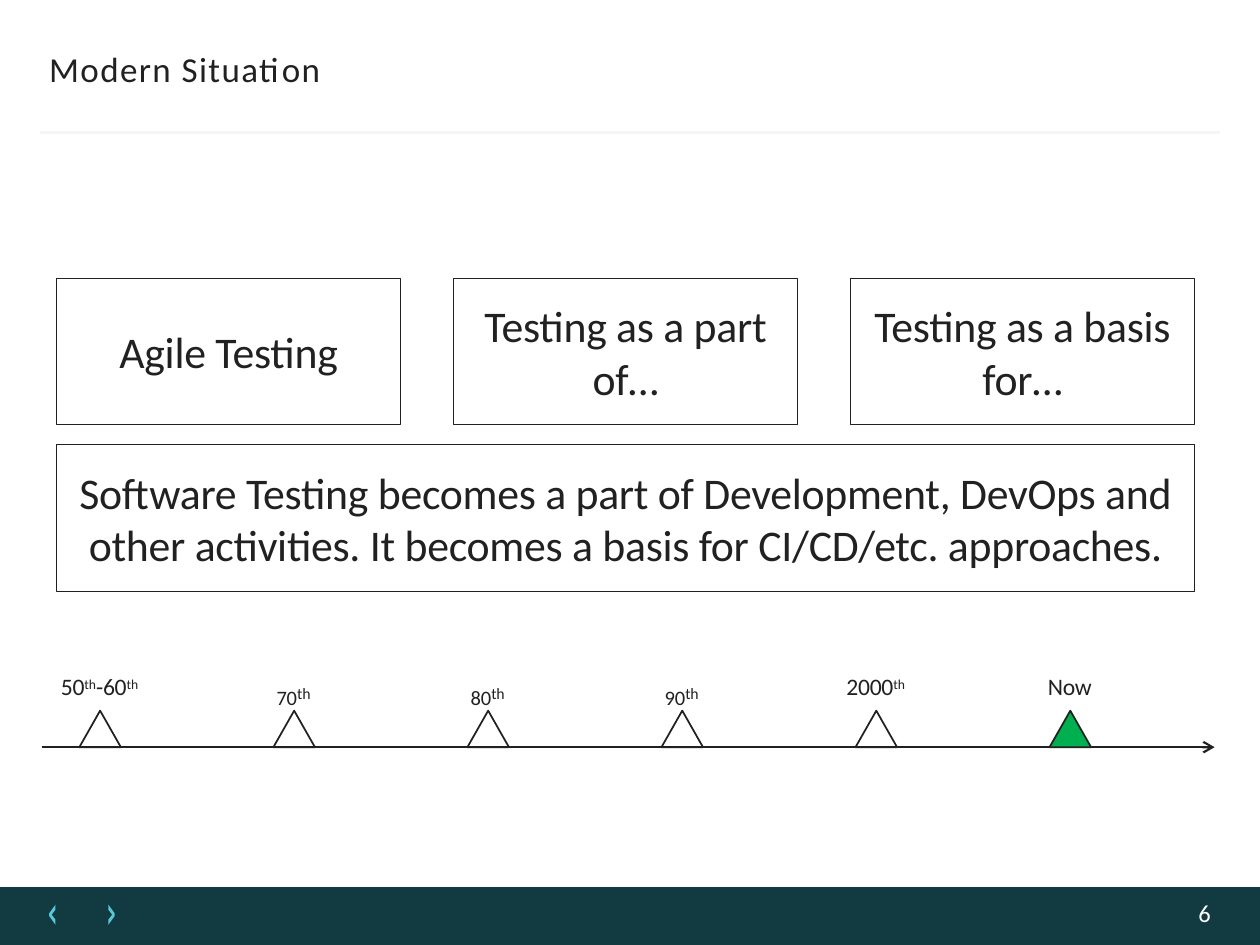
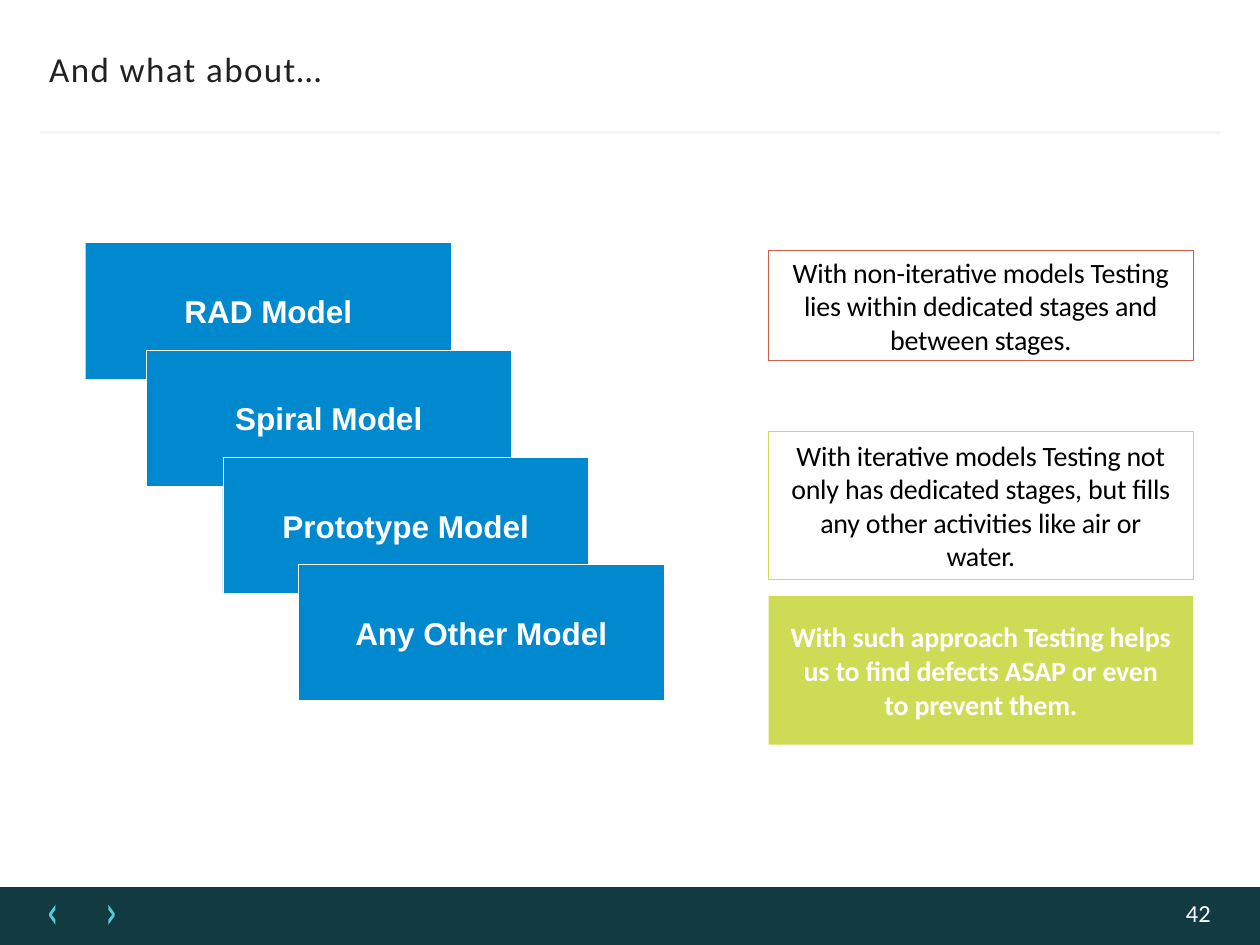
from dataclasses import dataclass

from lxml import etree
from pptx import Presentation
from pptx.dml.color import RGBColor
from pptx.enum.shapes import MSO_CONNECTOR, MSO_SHAPE
from pptx.enum.text import MSO_ANCHOR, MSO_AUTO_SIZE, PP_ALIGN
from pptx.oxml.ns import qn
from pptx.util import Inches, Pt

RECTANGLE = MSO_SHAPE.RECTANGLE
TRIANGLE = MSO_SHAPE.ISOSCELES_TRIANGLE
STRAIGHT = MSO_CONNECTOR.STRAIGHT
TOP, MIDDLE = MSO_ANCHOR.TOP, MSO_ANCHOR.MIDDLE
LEFT, CENTER, RIGHT = PP_ALIGN.LEFT, PP_ALIGN.CENTER, PP_ALIGN.RIGHT
NO_AUTOFIT = MSO_AUTO_SIZE.NONE
TITLE_ONLY = 5


@dataclass(frozen=True)
class Theme:
    ink: str = "212121"
    black: str = "000000"
    white: str = "FFFFFF"
    number: str = "FDFDFD"
    rule: str = "F5F5F5"
    band: str = "123B41"
    chevron: str = "58C7D6"
    green: str = "00AF50"
    blue: str = "0089CF"
    red: str = "D25D46"
    lime: str = "CEDB55"
    body_font: str = "Calibri"
    model_font: str = "Arial"
    title_size: float = 20
    statement_size: float = 25
    model_size: float = 18
    note_size: float = 16
    page_size: float = 14
    era_size: float = 13.5
    decade_size: float = 20.2
    ordinal_size: float = 9


class Deck:
    def __init__(self, theme):
        self.theme = theme
        self.presentation = Presentation()
        self.presentation.slide_width = Inches(10)
        self.presentation.slide_height = Inches(7.5)
        self.slide = None

    def start_slide(self, title, number):
        theme = self.theme
        layout = self.presentation.slide_layouts[TITLE_ONLY]
        self.slide = self.presentation.slides.add_slide(layout)
        self.box(0, 7.04, 10, 0.46, fill=theme.band)
        self.chevrons()
        self.line(0.32, 1.05, 9.68, theme.rule, 1.5)
        heading = self.slide.shapes.title
        heading.left, heading.top = Inches(0.38), Inches(0.35)
        heading.width, heading.height = Inches(9), Inches(0.36)
        self.set_text(heading, [(title, {})], theme.title_size, theme.ink,
                      align=LEFT, anchor=TOP, spacing=0.8,
                      insets=(0.01, 0.03))
        self.label(8.61, 7.13, 1, 0.22, [(str(number), {})],
                   theme.page_size, theme.number, align=RIGHT, anchor=MIDDLE)

    def paint(self, shape, fill=None, outline=None, weight=0.25):
        shape.shadow.inherit = False
        if fill:
            shape.fill.solid()
            shape.fill.fore_color.rgb = RGBColor.from_string(fill)
        else:
            shape.fill.background()
        if outline:
            shape.line.color.rgb = RGBColor.from_string(outline)
            shape.line.width = Pt(weight)
        else:
            shape.line.fill.background()

    def box(self, left, top, width, height, kind=RECTANGLE, **look):
        shape = self.slide.shapes.add_shape(
            kind, Inches(left), Inches(top), Inches(width), Inches(height))
        self.paint(shape, **look)
        return shape

    def chevrons(self):
        back = [(44, 718), (39, 725), (39, 727), (44, 734),
                (44, 730), (41, 726), (44, 722)]
        forward = [(130 - x, y) for x, y in back]
        builder = self.slide.shapes.build_freeform(
            *back[0], scale=Inches(1) / 100)
        builder.add_line_segments(back[1:])
        builder.move_to(*forward[0])
        builder.add_line_segments(forward[1:])
        self.paint(builder.convert_to_shape(), fill=self.theme.chevron)

    def line(self, left, top, right, color, weight, arrow=False):
        connector = self.slide.shapes.add_connector(
            STRAIGHT, Inches(left), Inches(top), Inches(right), Inches(top))
        connector.line.color.rgb = RGBColor.from_string(color)
        connector.line.width = Pt(weight)
        properties = connector._element.spPr
        if arrow:
            etree.SubElement(properties.find(qn("a:ln")), qn("a:tailEnd"),
                             type="arrow")
        etree.SubElement(properties, qn("a:effectLst"))

    def label(self, left, top, width, height, runs, size, color, **style):
        text_box = self.slide.shapes.add_textbox(
            Inches(left), Inches(top), Inches(width), Inches(height))
        self.set_text(text_box, runs, size, color, **style)

    def set_text(self, shape, runs, size, color, font=None, bold=False,
                 align=CENTER, anchor=MIDDLE, spacing=0, insets=(0, 0)):
        side, top = insets
        frame = shape.text_frame
        frame_format = {
            "auto_size": NO_AUTOFIT, "word_wrap": True,
            "vertical_anchor": anchor, "margin_left": Inches(side),
            "margin_right": Inches(side), "margin_top": Inches(top),
            "margin_bottom": 0,
        }
        for name, value in frame_format.items():
            setattr(frame, name, value)
        paragraph = frame.paragraphs[0]
        paragraph.alignment = align
        for text, changes in runs:
            run_format = {"size": Pt(changes.get("size", size)), "bold": bold,
                          "name": font or self.theme.body_font}
            for index, part in enumerate(text.split("\n")):
                if index:
                    paragraph.add_line_break()
                run = paragraph.add_run()
                run.text = part
                for name, value in run_format.items():
                    setattr(run.font, name, value)
                run.font.color.rgb = RGBColor.from_string(color)
                properties = run._r.get_or_add_rPr()
                properties.set("spc", str(round(spacing * 100)))
                if "baseline" in changes:
                    properties.set("baseline", str(changes["baseline"] * 1000))


def modern_situation(deck):
    theme = deck.theme
    deck.start_slide("Modern Situation", 6)

    statements = [
        (0.45, 2.21, 2.73, "Agile Testing"),
        (3.6, 2.21, 2.73, "Testing as a part\nof…"),
        (6.75, 2.21, 2.73, "Testing as a basis\nfor…"),
        (0.45, 3.53, 9.03,
         "Software Testing becomes a part of Development, DevOps and\n"
         "other activities. It becomes a basis for CI/CD/etc. approaches."),
    ]
    for left, top, width, statement in statements:
        frame = deck.box(left, top, width, 1.16, outline=theme.ink)
        deck.set_text(frame, [(statement, {})], theme.statement_size,
                      theme.ink, spacing=-0.15)

    axis = 5.93
    deck.line(0.33, axis, 9.64, theme.ink, 1.25, arrow=True)
    raised = {"baseline": 25}
    lowered = {"size": theme.decade_size, "baseline": -16}
    ordinal = {"size": theme.ordinal_size}
    decades = [[(decade, lowered), ("th", ordinal)]
               for decade in ("70", "80", "90")]
    eras = [
        [("50", {}), ("th", raised), ("-60", {}), ("th", raised)],
        *decades,
        [("2000", {}), ("th", raised)],
        [("Now", {})],
    ]
    for index, era in enumerate(eras):
        center = 0.79 + 1.54 * index
        is_now = index == len(eras) - 1
        deck.box(center - 0.16, axis - 0.29, 0.33, 0.29, TRIANGLE,
                 fill=theme.green if is_now else None,
                 outline=theme.ink, weight=1)
        deck.label(center - 0.5, 5.24 if era in decades else 5.3, 1, 0.25,
                   era, theme.era_size, theme.ink, anchor=TOP,
                   spacing=-0.1, insets=(0, 0.03))


def other_models(deck):
    theme = deck.theme
    deck.start_slide("And what about…", 42)

    models = [(0.68, "RAD Model"), (1.16, "Spiral Model"),
              (1.77, "Prototype Model"), (2.37, "Any Other Model")]
    for index, (left, model) in enumerate(models):
        card = deck.box(left, 1.93 + 0.85 * index, 2.9, 1.08, fill=theme.blue,
                        outline=theme.white if index else None)
        deck.set_text(card, [(model, {})], theme.model_size, theme.white,
                      font=theme.model_font, bold=True)

    notes = [
        (1.99, 0.87, None, theme.red, theme.black,
         "With non-iterative models Testing\n"
         "lies within dedicated stages and\nbetween stages."),
        (3.42, 1.18, None, theme.lime, theme.black,
         "With iterative models Testing not\n"
         "only has dedicated stages, but fills\n"
         "any other activities like air or\nwater."),
        (4.73, 1.18, theme.lime, None, theme.white,
         "With such approach Testing helps\n"
         "us to find defects ASAP or even\nto prevent them."),
    ]
    for top, height, fill, outline, color, note in notes:
        panel = deck.box(6.1, top, 3.37, height, fill=fill, outline=outline)
        deck.set_text(panel, [(note, {})], theme.note_size, color,
                      bold=fill is not None, spacing=-0.1)


def main():
    deck = Deck(Theme())
    modern_situation(deck)
    other_models(deck)
    deck.presentation.save("out.pptx")


if __name__ == "__main__":
    main()
